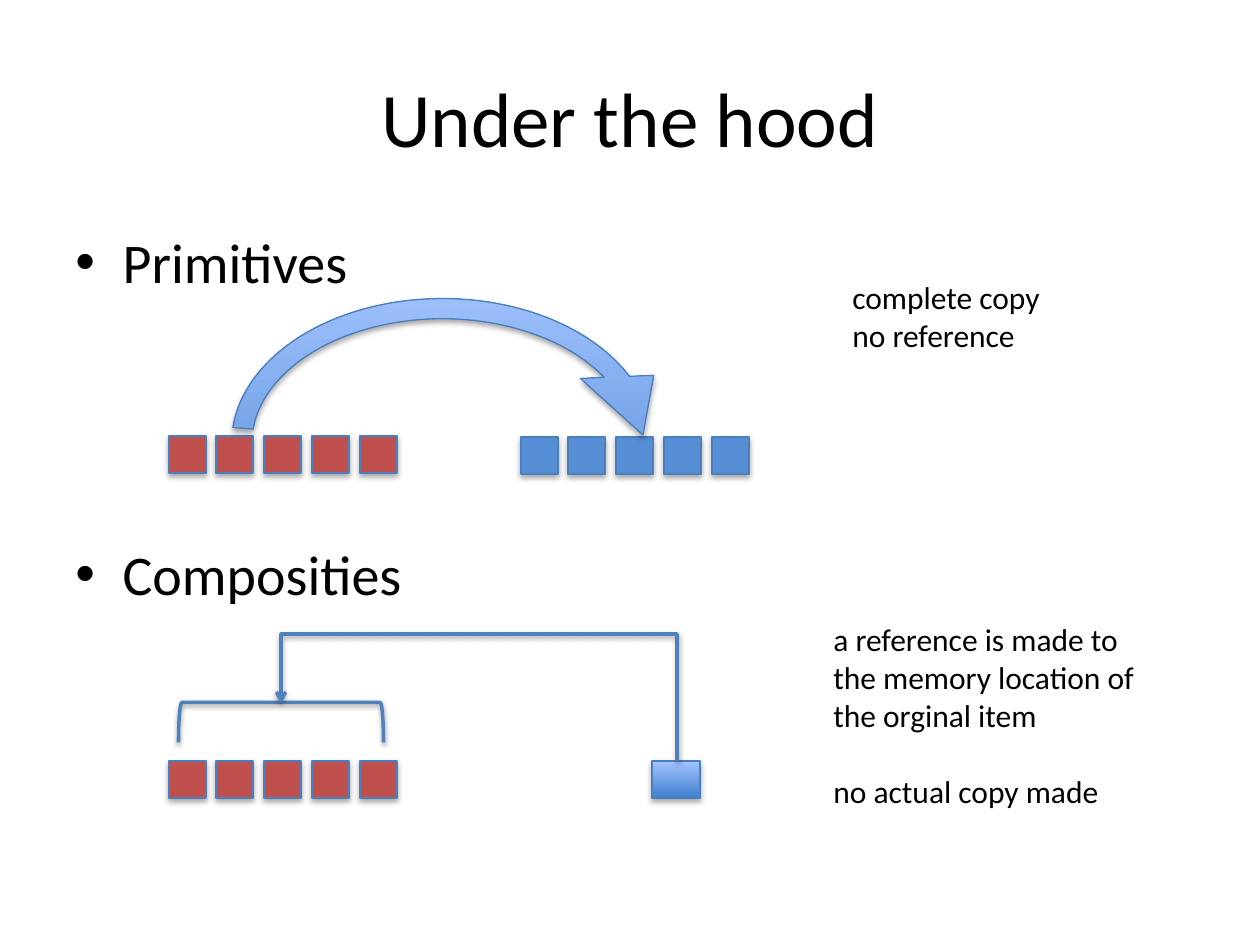
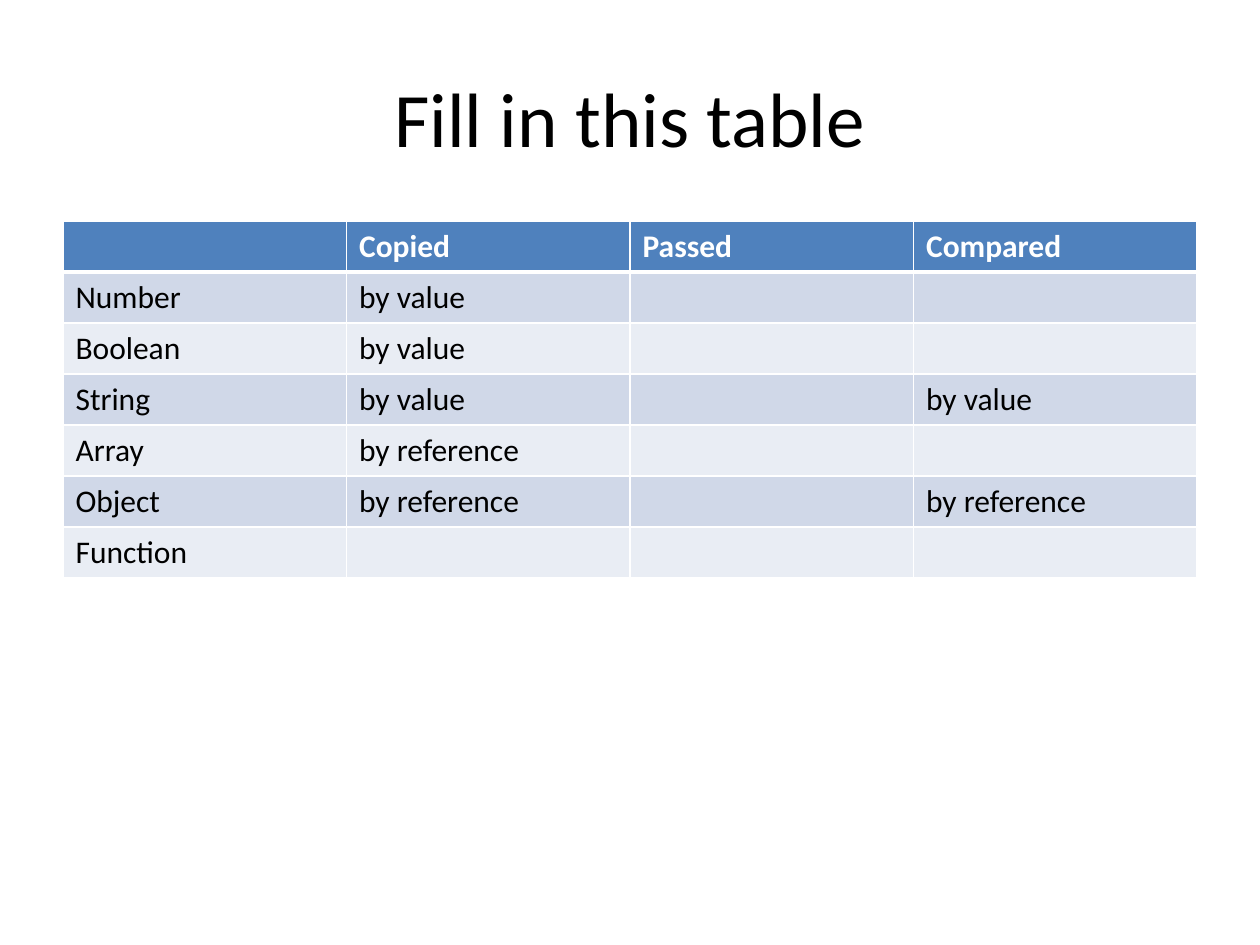
from lxml.etree import SubElement
from pptx import Presentation
from pptx.dml.color import RGBColor
from pptx.enum.shapes import MSO_CONNECTOR, MSO_SHAPE
from pptx.enum.text import MSO_ANCHOR, PP_ALIGN
from pptx.oxml.ns import qn
from pptx.util import Pt

SCALE = 914400 / 126
FONT = "Calibri"
BLACK = RGBColor(0x00, 0x00, 0x00)
WHITE = RGBColor(0xFF, 0xFF, 0xFF)
RED = RGBColor(0xC0, 0x50, 0x4D)
BLUE = RGBColor(0x55, 0x8E, 0xD5)
DEEP = RGBColor(0x3F, 0x80, 0xCE)
LIGHT = RGBColor(0xA4, 0xC4, 0xFF)
EDGE = RGBColor(0x4B, 0x7E, 0xBC)
ACCENT = RGBColor(0x4F, 0x81, 0xBD)
BANDS = RGBColor(0xE9, 0xED, 0xF4), RGBColor(0xD0, 0xD8, 0xE8)
BODY = 63, 221, 1134, 624
ROWS = [
    ("", "Copied", "Passed", "Compared"),
    ("Number", "by value", "", ""),
    ("Boolean", "by value", "", ""),
    ("String", "by value", "", "by value"),
    ("Array", "by reference", "", ""),
    ("Object", "by reference", "", "by reference"),
    ("Function", "", "", ""),
]


def px(*sizes):
    return [round(size * SCALE) for size in sizes]


def node(parent, tag, **attrs):
    return SubElement(parent, qn(tag), **attrs)


def add_run(para, text, size, color=BLACK, bold=False):
    run = para.add_run()
    run.text = text
    font = run.font
    font.name, font.size, font.bold = FONT, Pt(size), bold
    font.color.rgb = color


def add_text(slide, box, lines, size, gap=0):
    frame = slide.shapes.add_textbox(*px(*box)).text_frame
    frame.word_wrap = True
    for i, line in enumerate(lines):
        para = frame.add_paragraph() if i else frame.paragraphs[0]
        if i:
            para.space_before = Pt(gap)
        add_run(para, line, size)
    return frame


def add_title(slide, box, text):
    frame = add_text(slide, box, [text], 44)
    frame.vertical_anchor = MSO_ANCHOR.MIDDLE
    frame.paragraphs[0].alignment = PP_ALIGN.CENTER


def add_list(slide, box, items, gap):
    frame = add_text(slide, box, items, 32, gap)
    for para in frame.paragraphs:
        props = para._p.get_or_add_pPr()
        props.set("marL", "342900")
        props.set("indent", "-342900")
        node(props, "a:buFont", typeface="Arial")
        node(props, "a:buChar", char="•")


def add_shade(shape, dist, alpha):
    list_ = node(shape._element.spPr, "a:effectLst")
    shade = node(list_, "a:outerShdw", blurRad="40000", dist=str(dist),
                 dir="5400000", rotWithShape="0")
    color = node(shade, "a:srgbClr", val="000000")
    node(color, "a:alpha", val=str(alpha * 1000))


def set_line(shape, color, width):
    shape.line.color.rgb = color
    shape.line.width = Pt(width)


def add_block(shapes, kind, box, color=None, adjust=()):
    shape = shapes.add_shape(kind, *px(*box))
    for i, value in enumerate(adjust):
        shape.adjustments[i] = value
    if color:
        shape.fill.solid()
        shape.fill.fore_color.rgb = color
    else:
        shape.fill.gradient()
        shape.fill.gradient_angle = 90
        for stop, tone in zip(shape.fill.gradient_stops, (DEEP, LIGHT)):
            stop.color.rgb = tone
    set_line(shape, EDGE, 0.75)
    add_shade(shape, 23000, 35)


def add_cells(slide, box, color, count=5):
    x, y, w, h = box
    group = slide.shapes.add_group_shape()
    for i in range(count):
        left = x + i * (w - h) // (count - 1)
        add_block(group.shapes, MSO_SHAPE.RECTANGLE, (left, y, h, h), color)


def add_brace(slide, box):
    x, y, w, h = box
    left, top = x + (w - h) // 2, y + (h - w) // 2
    brace = slide.shapes.add_shape(MSO_SHAPE.LEFT_BRACKET, *px(left, top, h, w))
    brace.rotation = 90
    brace.fill.background()
    set_line(brace, ACCENT, 2)
    add_shade(brace, 20000, 38)


def add_link(slide, start, end, rise):
    (x1, y1), (x2, y2) = start, end
    mid, base = (x1 + x2) / 2, (y1 + y2) / 2
    wide, tall = (y1 - y2) / 2, (x1 - x2) / 2
    link = slide.shapes.add_connector(
        MSO_CONNECTOR.ELBOW,
        *px(mid - wide, base + tall, mid + wide, base - tall))
    props = link._element.spPr
    props.find(qn("a:xfrm")).set("rot", "16200000")
    guides = props.find(qn("a:prstGeom")).find(qn("a:avLst"))
    ratio = round(rise / (y1 - y2) * 100000)
    node(guides, "a:gd", name="adj1", fmla=f"val {ratio}")
    set_line(link, ACCENT, 2)
    node(props.find(qn("a:ln")), "a:tailEnd", type="arrow")
    add_shade(link, 20000, 38)


def draw_value(slide, box):
    x, y, w, h = box
    add_cells(slide, (x, y + 164, 228, 37), RED)
    add_cells(slide, (x + 352, y + 165, 228, 37), BLUE)
    add_block(slide.shapes, MSO_SHAPE.CIRCULAR_ARROW, (x + 36, y, 475, 343),
              adjust=(0.059, 11.047, 203.486, 110.606, 0.107))
    add_text(slide, (x + 671, y, 328, 89), ["complete copy", "no reference"], 18)


def draw_refer(slide, box):
    x, y, w, h = box
    add_cells(slide, (x, y + 147, 228, 37), RED)
    add_block(slide.shapes, MSO_SHAPE.RECTANGLE, (x + 483, y + 147, 48, 37))
    add_brace(slide, (x + 10, y + 89, 205, 40))
    add_link(slide, (x + 508, y + 147), (x + 112, y + 89), 127)
    add_text(slide, (x + 652, y, 328, 204),
             ["a reference is made to the memory location of the orginal item",
              "no actual copy made"], 18, 22)


def set_edges(cell, row):
    props = cell._tc.get_or_add_tcPr()
    widths = {"L": 1, "R": 1, "T": 3 if row == 1 else 1,
              "B": 1 if row else 3}
    for side, width in widths.items():
        line = node(props, f"a:ln{side}", w=str(Pt(width)))
        node(node(line, "a:solidFill"), "a:srgbClr", val=str(WHITE))


def draw_table(slide, box, rows):
    table = slide.shapes.add_table(len(rows), len(rows[0]), *px(*box)).table
    table.horz_banding = False
    for r, texts in enumerate(rows):
        for c, text in enumerate(texts):
            cell = table.cell(r, c)
            set_edges(cell, r)
            cell.fill.solid()
            cell.fill.fore_color.rgb = BANDS[r % 2] if r else ACCENT
            if text:
                color = BLACK if r else WHITE
                add_run(cell.text_frame.paragraphs[0], text, 18, color, not r)


def new_slide(deck, title):
    slide = deck.slides.add_slide(deck.slide_layouts[6])
    add_title(slide, (63, 38, 1134, 158), title)
    return slide


def main():
    deck = Presentation()
    deck.slide_width, deck.slide_height = px(1260, 945)
    hood = new_slide(deck, "Under the hood")
    add_list(hood, BODY, ["Primitives", "Composities"], 140)
    draw_value(hood, (169, 272, 1000, 343))
    draw_refer(hood, (169, 614, 1000, 204))
    fill = new_slide(deck, "Fill in this table")
    draw_table(fill, (*BODY[:3], 357), ROWS)
    deck.save("out.pptx")


if __name__ == "__main__":
    main()
